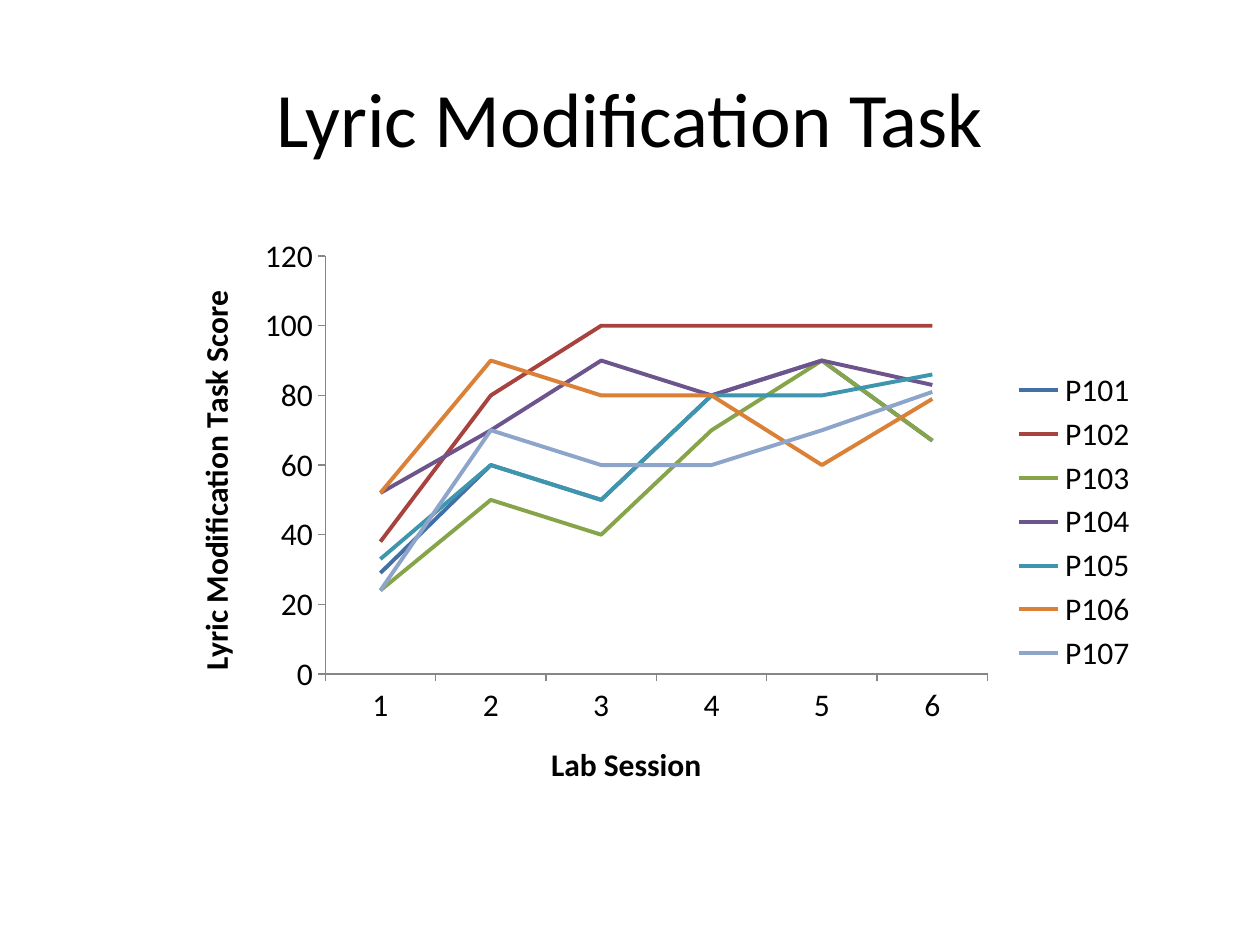
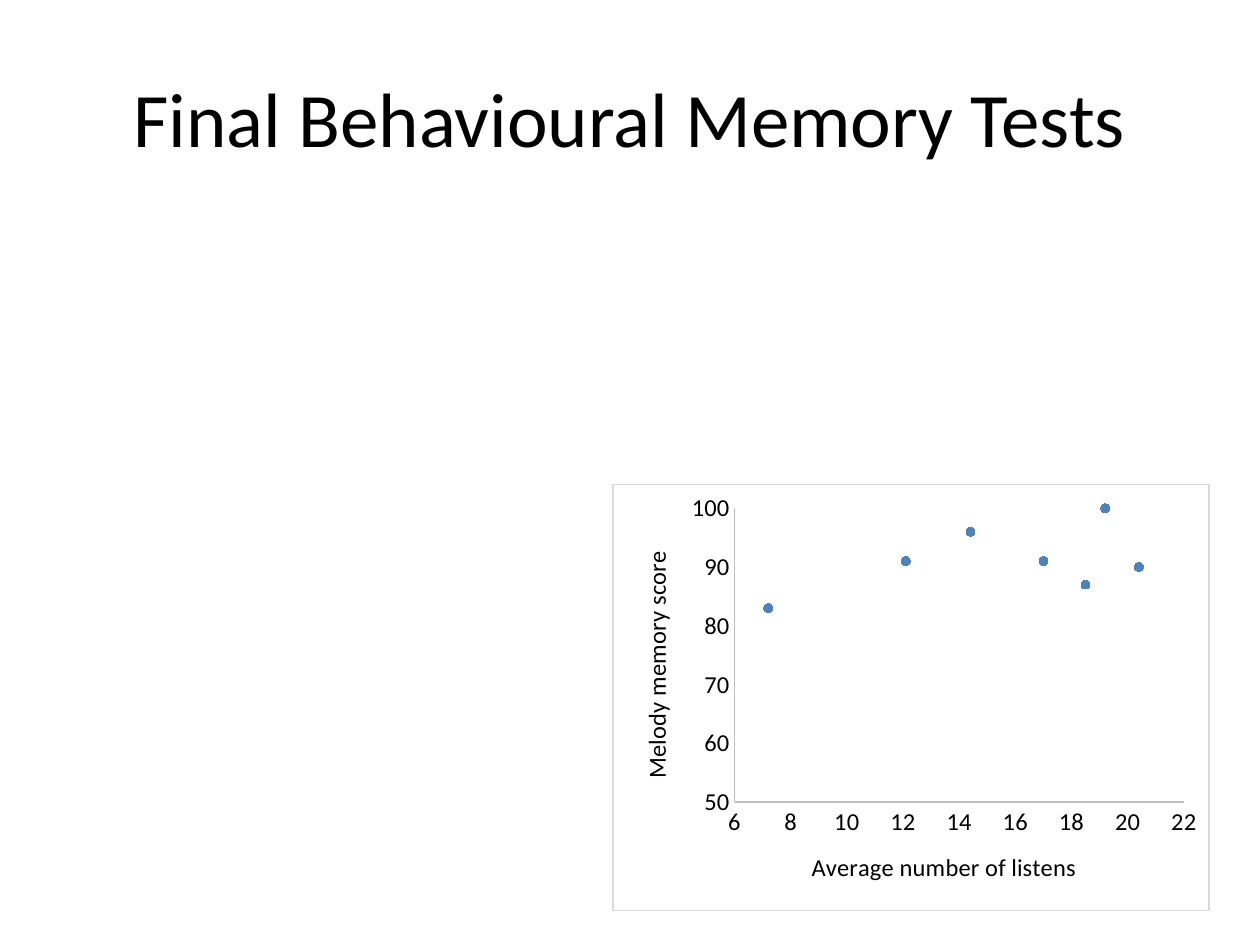
from lxml import etree
from pptx import Presentation
from pptx.chart.data import CategoryChartData, XyChartData
from pptx.dml.color import RGBColor
from pptx.enum.chart import XL_CHART_TYPE as ChartType, XL_LEGEND_POSITION as LegendPosition
from pptx.enum.chart import XL_MARKER_STYLE as MarkerStyle, XL_TICK_MARK as TickMark
from pptx.enum.text import MSO_ANCHOR, PP_ALIGN
from pptx.oxml import parse_xml
from pptx.oxml.ns import nsdecls, qn
from pptx.util import Inches, Pt

FONT = "Calibri"
BLACK = "000000"


def color(hex_string):
    return RGBColor.from_string(hex_string)


def place(parent, index, fractions, inner=False):
    """Give a plot area or legend a fixed place, as fractions of the chart."""
    for old_layout in parent.findall(qn("c:layout")):
        parent.remove(old_layout)
    layout = etree.Element(qn("c:layout"))
    manual = etree.SubElement(layout, qn("c:manualLayout"))
    settings = [("layoutTarget", "inner")] if inner else []
    settings += [("xMode", "edge"), ("yMode", "edge")]
    settings += zip("xywh", fractions)
    for name, value in settings:
        etree.SubElement(manual, qn("c:" + name)).set("val", str(value))
    parent.insert(index, layout)


presentation = Presentation()
presentation.slide_width, presentation.slide_height = Inches(10), Inches(7.5)

# Data: task scores by participant, and listens against melody memory
scores = CategoryChartData(number_format="General")
scores.categories = ["1", "2", "3", "4", "5", "6"]
participants = [
    ("P101", "426FA6", [29, 60, 50, 80, 90, 67]),
    ("P102", "A8423F", [38, 80, 100, 100, 100, 100]),
    ("P103", "86A44A", [24, 50, 40, 70, 90, 67]),
    ("P104", "6E548D", [52, 70, 90, 80, 90, 83]),
    ("P105", "3D96AE", [33, 60, 50, 80, 80, 86]),
    ("P106", "DA8137", [52, 90, 80, 80, 60, 79]),
    ("P107", "8EA5CB", [24, 70, 60, 60, 70, 81]),
]
for name, _, values in participants:
    scores.add_series(name, values)

memory = XyChartData(number_format="General")
listeners = memory.add_series("Series 1")
for listens, score in [(12.1, 91), (14.4, 96), (19.2, 100), (20.4, 90),
                       (17, 91), (18.5, 87), (7.2, 83)]:
    listeners.add_data_point(listens, score)

# Title, chart and axes of both slides
slide_plans = [
    dict(title="Lyric Modification Task", type=ChartType.LINE, data=scores,
         box=(1.31, 1.78, 7.8, 4.68), plot=(0.163, 0.054, 0.674, 0.709),
         size=18, bold=True, axis_line="868686", tick=TickMark.OUTSIDE,
         axes=[("Lab Session", None), ("Lyric Modification Task Score", (0, 120, 20))]),
    dict(title="Final Behavioural Memory Tests", type=ChartType.XY_SCATTER, data=memory,
         box=(4.86, 3.84, 4.74, 3.39), plot=(0.204, 0.056, 0.754, 0.69),
         size=14, bold=False, axis_line="BFBFBF", tick=TickMark.NONE,
         axes=[("Average number of listens", (6, 22, 2)),
               ("Melody memory score", (50, 100, 10))]),
]
charts = []
for plan in slide_plans:
    slide = presentation.slides.add_slide(presentation.slide_layouts[5])
    title = slide.shapes.title
    title.left, title.top, title.width, title.height = map(Inches, (0.5, 0.3, 9, 1.25))
    title.text_frame.vertical_anchor = MSO_ANCHOR.MIDDLE
    paragraph = title.text_frame.paragraphs[0]
    paragraph.alignment = PP_ALIGN.CENTER
    run = paragraph.add_run()
    run.text = plan["title"]
    run.font.name, run.font.size = FONT, Pt(44)
    run.font.color.rgb = color(BLACK)

    chart = slide.shapes.add_chart(plan["type"], *map(Inches, plan["box"]), plan["data"]).chart
    charts.append(chart)
    chart.has_title = False
    chart.has_legend = False
    chart.font.name, chart.font.size = FONT, Pt(plan["size"])
    chart.font.color.rgb = color(BLACK)
    chart.plots[0].vary_by_categories = False
    place(chart._chartSpace.chart.plotArea, 0, plan["plot"], inner=True)

    for axis, (label, scale) in zip((chart.category_axis, chart.value_axis), plan["axes"]):
        axis.has_major_gridlines = False
        axis.major_tick_mark = plan["tick"]
        axis.minor_tick_mark = TickMark.NONE
        axis.format.line.color.rgb = color(plan["axis_line"])
        axis.format.line.width = Pt(0.75)
        if scale:
            axis.minimum_scale, axis.maximum_scale, axis.major_unit = scale
        axis_text = axis.axis_title.text_frame
        run = axis_text.paragraphs[0].add_run()
        run.text = label
        run.font.name, run.font.size = FONT, Pt(plan["size"])
        run.font.bold = plan["bold"]
        run.font.color.rgb = color(BLACK)
        if axis is not chart.category_axis and label == plan["axes"][1][0]:
            body = axis_text._txBody.find(qn("a:bodyPr"))
            body.set("rot", "-5400000")
            body.set("vert", "horz")

task_chart, memory_chart = charts

# Participant lines and legend
for series, (_, line_color, _) in zip(task_chart.series, participants):
    series.smooth = False
    series.marker.style = MarkerStyle.NONE
    series.format.line.color.rgb = color(line_color)
    series.format.line.width = Pt(2.25)
task_chart.has_legend = True
task_chart.legend.position = LegendPosition.RIGHT
task_chart.legend.include_in_layout = False
place(task_chart._chartSpace.chart.find(qn("c:legend")), 1, (0.86, 0.24, 0.13, 0.53))

# Memory score points
memory_series = memory_chart.series[0]
memory_series.format.line.fill.background()
marker = memory_series.marker
marker.style, marker.size = MarkerStyle.CIRCLE, 5
marker.format.fill.solid()
marker.format.fill.fore_color.rgb = color("4F81BD")
marker.format.line.color.rgb = color("4F81BD")

# White panel with a thin grey border behind the memory chart
memory_chart._chartSpace.chart.addnext(parse_xml(
    f'<c:spPr {nsdecls("c", "a")}>'
    '<a:solidFill><a:srgbClr val="FFFFFF"/></a:solidFill>'
    '<a:ln w="9525"><a:solidFill><a:srgbClr val="D9D9D9"/></a:solidFill></a:ln>'
    '</c:spPr>'))

presentation.save("out.pptx")
